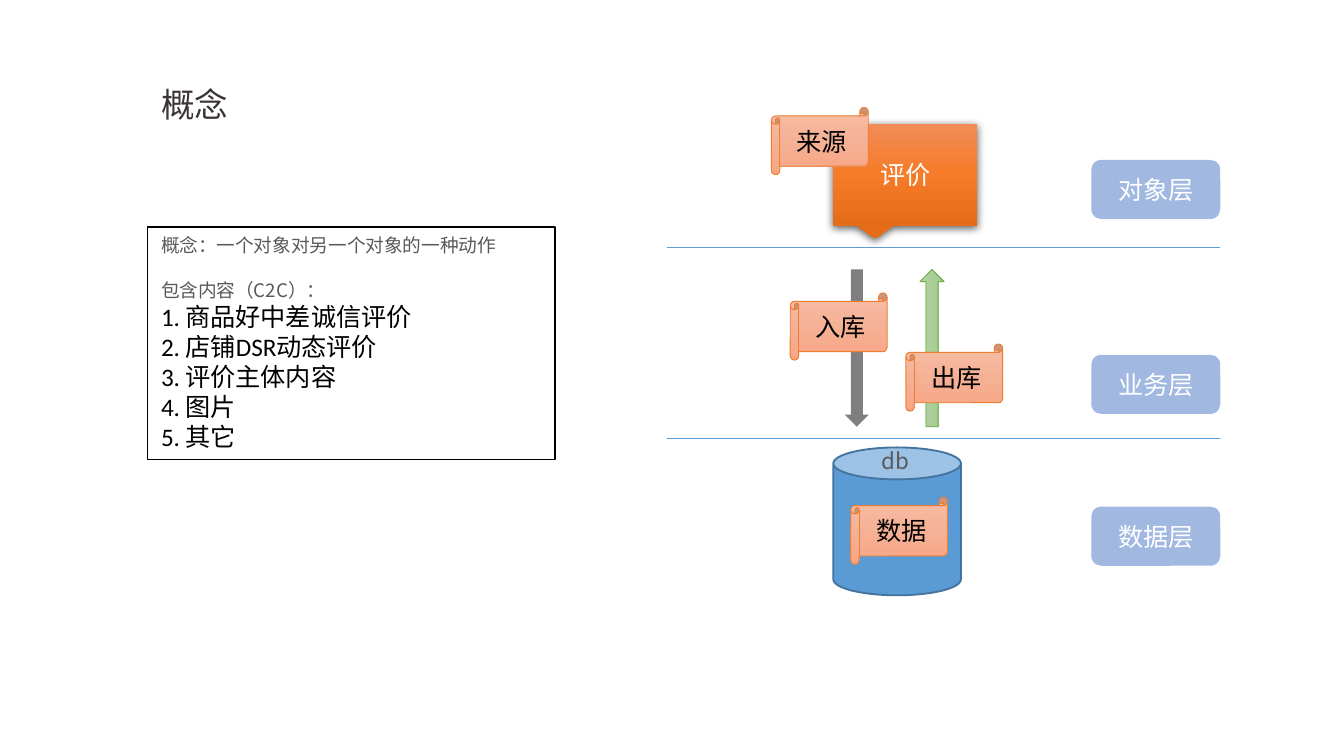
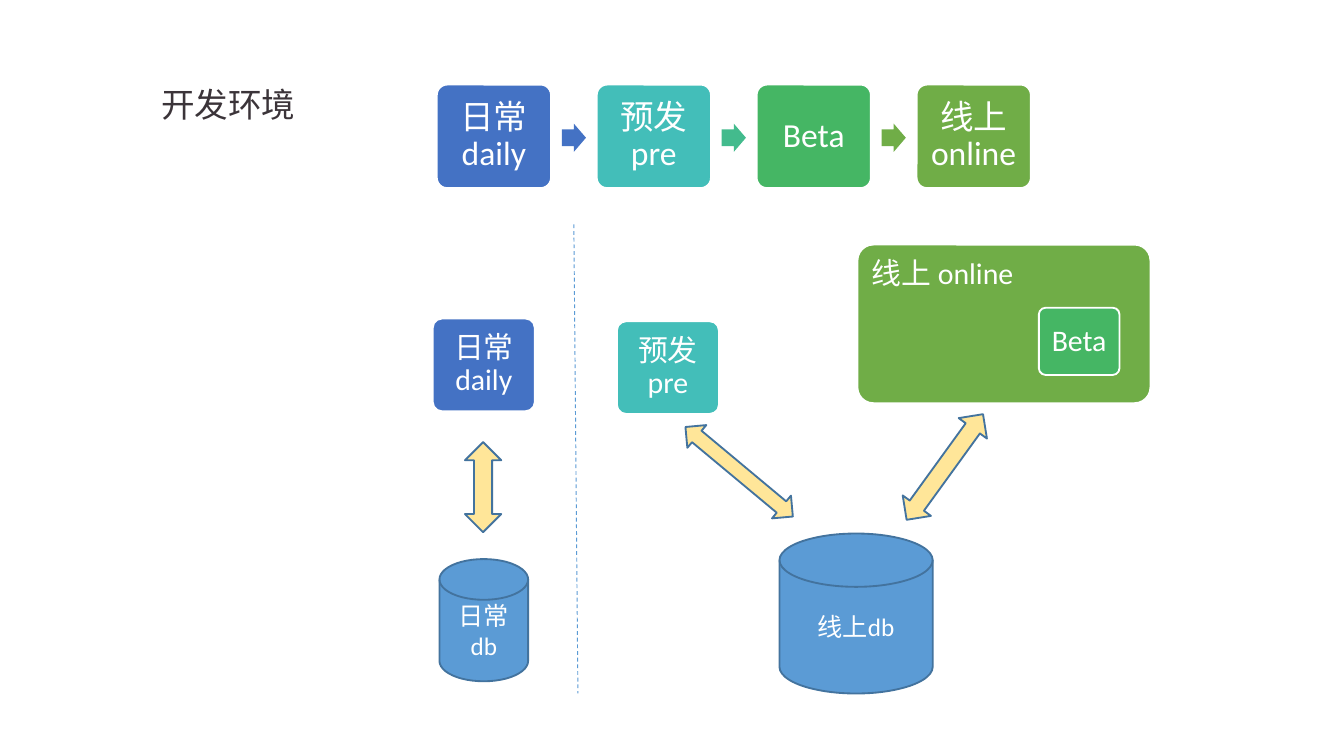
"""Build two slides: the review concept with its layers, and the development environments."""
from copy import deepcopy

from lxml import etree
from pptx import Presentation
from pptx.dml.color import RGBColor
from pptx.enum.dml import MSO_LINE
from pptx.enum.shapes import MSO_CONNECTOR, MSO_SHAPE
from pptx.enum.text import MSO_ANCHOR, PP_ALIGN
from pptx.oxml.ns import qn
from pptx.util import Inches, Pt

ROUNDED = MSO_SHAPE.ROUNDED_RECTANGLE
SCROLL = MSO_SHAPE.HORIZONTAL_SCROLL
CALLOUT = MSO_SHAPE.RECTANGULAR_CALLOUT
CAN = MSO_SHAPE.CAN
DISK = MSO_SHAPE.FLOWCHART_MAGNETIC_DISK
RECTANGLE = MSO_SHAPE.RECTANGLE
RIGHT_ARROW = MSO_SHAPE.RIGHT_ARROW
UP_DOWN_ARROW = MSO_SHAPE.UP_DOWN_ARROW
STRAIGHT = MSO_CONNECTOR.STRAIGHT
DASH = MSO_LINE.DASH
LEFT, CENTER = PP_ALIGN.LEFT, PP_ALIGN.CENTER
TOP, MIDDLE = MSO_ANCHOR.TOP, MSO_ANCHOR.MIDDLE

LATIN, HAN = "Calibri", "Noto Sans CJK SC"
WHITE = RGBColor(0xFF, 0xFF, 0xFF)
BLACK = RGBColor(0x00, 0x00, 0x00)
TITLE_INK = RGBColor(0x3B, 0x34, 0x39)
GREY = RGBColor(0x59, 0x59, 0x59)
SKY = RGBColor(0x5B, 0x9B, 0xD5)
SKY_EDGE = RGBColor(0x43, 0x73, 0x9E)
BLUE = RGBColor(0x44, 0x72, 0xC4)
TEAL = RGBColor(0x43, 0xBE, 0xB9)
SEA = RGBColor(0x43, 0xBB, 0x8D)
EMERALD = RGBColor(0x45, 0xB6, 0x64)
GREEN = RGBColor(0x70, 0xAD, 0x47)
ORANGE = RGBColor(0xED, 0x7D, 0x31)
YELLOW = RGBColor(0xFF, 0xE6, 0x99)
REVIEW_SHADES = (RGBColor(0xF1, 0x8C, 0x57), RGBColor(0xF6, 0x7B, 0x28), RGBColor(0xE5, 0x6C, 0x19))
SCROLL_SHADES = (RGBColor(0xF7, 0xBD, 0xA5), RGBColor(0xF5, 0xB1, 0x96), RGBColor(0xF8, 0xA5, 0x82))
LEAF_SHADES = (RGBColor(0xB5, 0xD5, 0xA7), RGBColor(0xAA, 0xCE, 0x9A), RGBColor(0x9C, 0xC9, 0x87))

WIDTH = 10
HEIGHT = WIDTH * 9 / 16
BODY_SIZE = 13.5

CONCEPT_TITLE = "概念"
DEFINITION = "概念：一个对象对另一个对象的一种动作"
CONTENTS_HEADING = "包含内容（C2C）："
CONTENTS = ("商品好中差诚信评价", "店铺DSR动态评价", "评价主体内容", "图片", "其它")
LAYERS = (("数据层", 3.77), ("业务层", 2.64), ("对象层", 1.19))
LAYER_BORDERS = (1.84, 3.26)
STEPS = (("入库", 5.88, 2.18), ("出库", 6.74, 2.56), ("数据", 6.33, 3.7), ("来源", 5.74, 0.8))

ENVIRONMENT_TITLE = "开发环境"
STAGES = (("日常 daily", BLUE, BLUE), ("预发pre", TEAL, SEA),
          ("Beta", EMERALD, GREEN), ("线上 online", GREEN, None))
STAGE_LEFT, STAGE_PITCH, STAGE_WIDTH = 3.25, 1.19, 0.85
ENVIRONMENTS = (("线上 online", GREEN, (6.38, 1.82, 2.18, 1.18), LEFT, TOP),
                ("日常 daily", BLUE, (3.22, 2.37, 0.76, 0.69), CENTER, MIDDLE),
                ("预发pre", TEAL, (4.59, 2.39, 0.76, 0.69), CENTER, MIDDLE),
                ("Beta", EMERALD, (7.73, 2.29, 0.6, 0.5), CENTER, MIDDLE))
DATABASES = (("日常db", (3.27, 4.16, 0.66, 0.91)), ("线上db", (5.8, 3.97, 1.14, 1.19)))
DATA_FLOWS = (((3.46, 3.29, 0.27, 0.67), 0), ((5.39, 2.99, 0.22, 1.04), 309.8),
              ((6.9, 2.99, 0.26, 0.97), 35.9))


def style(paragraph, size, color, font=LATIN, align=LEFT, spacing=None):
    paragraph.alignment = align
    paragraph.line_spacing = spacing
    for run in paragraph.runs:
        run.font.size = Pt(size)
        run.font.color.rgb = color
        run.font.name = font
        etree.SubElement(run._r.get_or_add_rPr(), qn("a:ea"), typeface=HAN)


def write(shape, text, size, color, font=LATIN, align=CENTER, anchor=MIDDLE, spacing=None):
    frame = shape.text_frame
    frame.word_wrap = True
    frame.vertical_anchor = anchor
    frame.text = text
    style(frame.paragraphs[0], size, color, font, align, spacing)


def add_text(slide, box, text, size, color, **options):
    label = slide.shapes.add_textbox(*map(Inches, box))
    write(label, text, size, color, **options)
    return label.text_frame


def add_shape(slide, kind, box, fill=None, edge=None, edge_width=1, rotation=0):
    shape = slide.shapes.add_shape(kind, *map(Inches, box))
    shape.shadow.inherit = False
    shape.rotation = rotation
    if fill is None:
        shape.fill.background()
    elif isinstance(fill, RGBColor):
        shape.fill.solid()
        shape.fill.fore_color.rgb = fill
    else:
        shade(shape, fill)
    if edge is None:
        shape.line.fill.background()
    else:
        shape.line.color.rgb = edge
        shape.line.width = Pt(edge_width)
    return shape


def shade(shape, colors):
    shape.fill.gradient()
    shape.fill.gradient_angle = 270
    stop_list = shape._element.spPr.find(".//" + qn("a:gsLst"))
    stop_list.append(deepcopy(stop_list[-1]))
    for index, (stop, color) in enumerate(zip(shape.fill.gradient_stops, colors)):
        stop.position = index / 2
        stop.color.rgb = color


def set_alpha(color_element, percent):
    etree.SubElement(color_element, qn("a:alpha"), val=str(percent * 1000))


def make_translucent(shape):
    set_alpha(shape._element.spPr.find(qn("a:solidFill"))[0], 50)


def cast_shadow(shape):
    effects = shape._element.spPr.find(qn("a:effectLst"))
    shadow = etree.SubElement(effects, qn("a:outerShdw"), blurRad=str(Pt(4.5)),
                              dist=str(Pt(1.5)), dir="5400000", rotWithShape="0")
    set_alpha(etree.SubElement(shadow, qn("a:srgbClr"), val=str(BLACK)), 63)


def add_rule(slide, start, end, dash=None):
    rule = slide.shapes.add_connector(STRAIGHT, *map(Inches, start + end))
    rule.line.color.rgb = SKY
    rule.line.width = Pt(0.5)
    rule.line.dash_style = dash
    etree.SubElement(rule._element.spPr, qn("a:effectLst"))


def add_card(slide, text, color, box, size, align=CENTER, anchor=MIDDLE):
    card = add_shape(slide, ROUNDED, box, color, WHITE)
    card.adjustments[0] = 0.1
    left, top, width, height = box
    inset = 0.03 * height
    label_box = (left + inset, top + inset, width - 2 * inset, height - 2 * inset)
    frame = add_text(slide, label_box, text, size, WHITE,
                     align=align, anchor=anchor, spacing=0.9)
    frame.margin_left = frame.margin_right = Inches(0.07)
    frame.margin_top = frame.margin_bottom = Inches(0.07)


def add_titled_slide(deck, title):
    slide = deck.slides.add_slide(deck.slide_layouts[6])
    add_text(slide, (1.1, 0.57, 5.7, 0.45), title, 18, TITLE_INK,
             font=HAN, align=LEFT, spacing=0.9)
    return slide


def add_definition(slide):
    panel = add_shape(slide, RECTANGLE, (1.1, 1.69, 3.03, 1.73), edge=BLACK, edge_width=0.75)
    write(panel, DEFINITION, 10, GREY, HAN, LEFT, TOP)
    heading = panel.text_frame.add_paragraph()
    heading.text = CONTENTS_HEADING
    heading.space_before = Pt(12)
    style(heading, 10, GREY, HAN)
    items = panel.text_frame.add_paragraph()
    items.text = "\n".join(f"{number}. {item}" for number, item in enumerate(CONTENTS, 1))
    style(items, BODY_SIZE, BLACK)


def build_concept(deck):
    slide = add_titled_slide(deck, CONCEPT_TITLE)
    add_shape(slide, CAN, (6.2, 3.33, 0.95, 1.1), SKY, SKY_EDGE)
    review = add_shape(slide, CALLOUT, (6.2, 0.92, 1.07, 0.76), REVIEW_SHADES)
    cast_shadow(review)
    write(review, "评价", BODY_SIZE, WHITE)
    make_translucent(add_shape(slide, RIGHT_ARROW, (5.79, 2.5, 1.17, 0.18), BLACK, rotation=90))
    add_shape(slide, RIGHT_ARROW, (6.35, 2.5, 1.17, 0.18), LEAF_SHADES, GREEN, 0.5, 270)
    for top in LAYER_BORDERS:
        add_rule(slide, (4.96, top), (9.08, top))
    for name, top in LAYERS:
        layer = add_shape(slide, ROUNDED, (8.12, top, 0.96, 0.44), BLUE)
        make_translucent(layer)
        write(layer, name, BODY_SIZE, WHITE)
    add_text(slide, (6.46, 3.28, 0.75, 0.32), "db", 12, GREY, font=HAN, align=LEFT, anchor=TOP)
    for name, left, top in STEPS:
        step = add_shape(slide, SCROLL, (left, top, 0.72, 0.5), SCROLL_SHADES, ORANGE, 0.5)
        write(step, name, BODY_SIZE, BLACK)
    add_definition(slide)


def build_environments(deck):
    slide = add_titled_slide(deck, ENVIRONMENT_TITLE)
    add_rule(slide, (4.27, 1.67), (4.3, 5.16), DASH)
    for name, box in DATABASES:
        write(add_shape(slide, DISK, box, SKY, SKY_EDGE), name, BODY_SIZE, WHITE)
    for box, rotation in DATA_FLOWS:
        add_shape(slide, UP_DOWN_ARROW, box, YELLOW, SKY_EDGE, rotation=rotation)
    for index, (name, color, arrow_color) in enumerate(STAGES):
        left = STAGE_LEFT + index * STAGE_PITCH
        add_card(slide, name, color, (left, 0.63, STAGE_WIDTH, 0.77), 18)
        if arrow_color is not None:
            box = (left + STAGE_WIDTH + 0.08, 0.92, 0.18, 0.21)
            arrow = add_shape(slide, RIGHT_ARROW, box, arrow_color)
            arrow.adjustments[0] = 0.6
    for name, color, box, align, anchor in ENVIRONMENTS:
        add_card(slide, name, color, box, 16, align, anchor)


def main():
    deck = Presentation()
    deck.slide_width, deck.slide_height = Inches(WIDTH), Inches(HEIGHT)
    build_concept(deck)
    build_environments(deck)
    deck.save("out.pptx")


if __name__ == "__main__":
    main()
